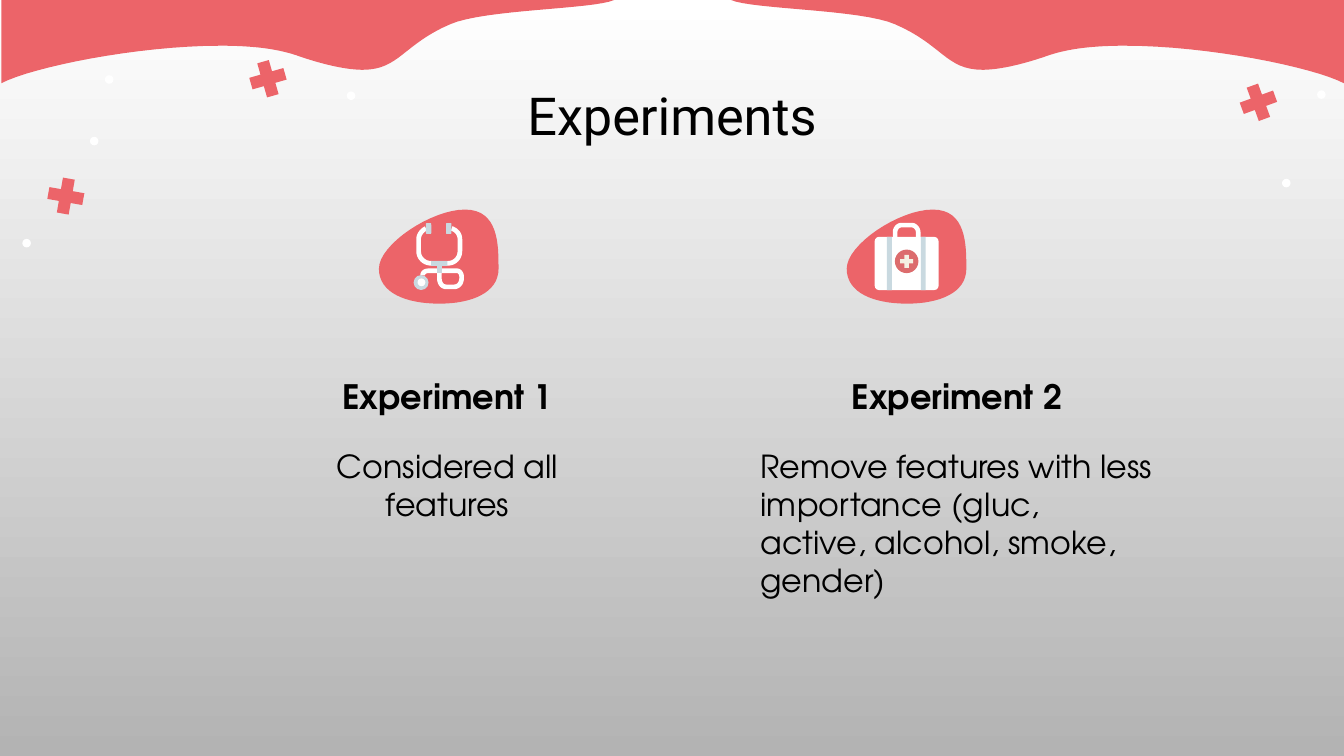
from dataclasses import dataclass
from pptx import Presentation
from pptx.dml.color import RGBColor
from pptx.enum.shapes import MSO_SHAPE
from pptx.enum.text import MSO_ANCHOR, PP_ALIGN
from pptx.util import Pt


@dataclass(frozen=True)
class Theme:
    coral: RGBColor = RGBColor(0xEC, 0x64, 0x69)
    badge: RGBColor = RGBColor(0xDC, 0x6C, 0x6D)
    steel: RGBColor = RGBColor(0xC9, 0xD9, 0xE0)
    cream: RGBColor = RGBColor(0xF5, 0xF1, 0xE3)
    white: RGBColor = RGBColor(0xFF, 0xFF, 0xFF)
    gray: RGBColor = RGBColor(0xB3, 0xB3, 0xB3)
    black: RGBColor = RGBColor(0, 0, 0)
    title_font: str = "Roboto"
    body_font: str = "TeX Gyre Adventor"
    title_size: int = 28
    heading_size: int = 18
    body_size: int = 17
    tube_width: float = 2.5


theme = Theme()
prs = Presentation()
prs.slide_width, prs.slide_height = Pt(720), Pt(405)
slide = prs.slides.add_slide(prs.slide_layouts[6])

backdrop = slide.background.fill
backdrop.gradient()
backdrop.gradient_angle = 270
for stop, color in zip(backdrop.gradient_stops, (theme.white, theme.gray)):
    stop.color.rgb = color


def add_preset(kind, left, top, width, height, color, rotation=0, adjust=None):
    shape = slide.shapes.add_shape(kind, Pt(left), Pt(top), Pt(width), Pt(height))
    shape.shadow.inherit = False
    shape.fill.solid()
    shape.fill.fore_color.rgb = color
    shape.line.fill.background()
    shape.rotation = rotation
    if adjust is not None:
        shape.adjustments[0] = adjust


def add_curve(steps, color, filled=True, left=0, top=0):
    points = [steps[0]]
    for step in steps[1:]:
        if len(step) == 2:
            points.append(step)
            continue
        corners = (points[-1], step[:2], step[2:4], step[4:])
        for i in range(1, 17):
            t = i / 16
            weights = ((1 - t) ** 3, 3 * t * (1 - t) ** 2, 3 * t * t * (1 - t), t ** 3)
            points.append(tuple(sum(w * c[axis] for w, c in zip(weights, corners)) for axis in (0, 1)))
    points = [(Pt(left + x), Pt(top + y)) for x, y in points]
    builder = slide.shapes.build_freeform(*points[0])
    builder.add_line_segments(points[1:], close=filled)
    shape = builder.convert_to_shape()
    shape.shadow.inherit = False
    if filled:
        shape.fill.solid()
        shape.fill.fore_color.rgb = color
        shape.line.fill.background()
    else:
        shape.fill.background()
        shape.line.color.rgb = color
        shape.line.width = Pt(theme.tube_width)


for center_x, center_y, rotation in ((35.3, 105.1, 10), (143.6, 42.2, -16), (674.2, 54.8, -20)):
    add_preset(MSO_SHAPE.CROSS, center_x - 9.5, center_y - 9.5, 19, 19, theme.coral, rotation, 0.33)

for left, top in ((12, 128), (48.2, 73.3), (56.2, 40.3), (185.8, 49), (686.8, 95.8), (705.6, 48.4)):
    add_preset(MSO_SHAPE.OVAL, left, top, 4.6, 4.6, theme.white)

wave = [
    (0.7, 0), (0.7, 44.6), (17.3, 36, 73.4, 24.5, 118.1, 24.5),
    (133.9, 24.5, 147.6, 25.9, 158.4, 29.5), (175, 35.3, 186.5, 37.4, 194.4, 37.4),
    (213.8, 37.4, 216, 23.8, 241.2, 13), (259.2, 5, 318.2, 5, 329, 0),
]
mirrored_wave = [tuple(v if i % 2 else 720.7 - v for i, v in enumerate(step)) for step in wave]
for half in (mirrored_wave, wave):
    add_curve(half, theme.coral)

blob = [
    (46.1, 0), (28.1, 0, 0, 18.7, 0, 31.7), (0, 44.6, 14.4, 50.4, 32.4, 50.4),
    (49.7, 50.4, 64.1, 44.6, 64.1, 31.7), (64.1, 18.7, 64.1, 0, 46.1, 0),
]
for left in (203, 453.6):
    add_curve(blob, theme.coral, left=left, top=112.3)

headset = [
    (25.2, 10.1), (23.1, 11.2, 21.3, 13.3, 21.3, 15.9), (21.3, 22.3),
    (21.3, 25.9, 24.2, 28.8, 28.1, 28.8), (36.8, 28.8),
    (40.7, 28.8, 43.4, 25.9, 43.4, 22.3), (43.4, 15.9),
    (43.4, 13.3, 41.9, 11.2, 39, 10.1),
]
hose = [
    (23.4, 35.3), (23.4, 33.9, 24.5, 32.8, 26.7, 32.8), (41.8, 32.8),
    (43.2, 32.8, 44.3, 34.2, 44.3, 36), (44.3, 36.7),
    (44.3, 39.6, 42.5, 41.4, 40.4, 41.4), (36, 41.4),
    (33.9, 41.4, 32.4, 39.6, 32.4, 36.7), (32.4, 31.7),
]
for tube in (headset, hose):
    add_curve(tube, theme.white, filled=False, left=203, top=112.3)

for left in (228.2, 239):
    add_preset(MSO_SHAPE.ROUNDED_RECTANGLE, left, 119.5, 2.9, 5.8, theme.steel)
add_preset(MSO_SHAPE.RECTANGLE, 231, 139.8, 8.8, 2.7, theme.steel)
add_preset(MSO_SHAPE.RECTANGLE, 234.1, 142.5, 2.7, 3.7, theme.steel)
add_preset(MSO_SHAPE.OVAL, 221.6, 147.4, 8, 8, theme.steel)
add_preset(MSO_SHAPE.OVAL, 223.7, 149.2, 4.2, 4.2, theme.white)

handle = [
    (479.5, 127), (479.5, 124.6), (479.5, 122.4, 481, 120.6, 483.1, 120.6),
    (488.2, 120.6), (490.3, 120.6, 491.9, 122.4, 491.9, 124.6), (491.9, 127),
]
add_curve(handle, theme.white, filled=False)
add_preset(MSO_SHAPE.ROUNDED_RECTANGLE, 468.6, 126.9, 34.2, 28.5, theme.white, adjust=0.08)
for left in (475.2, 493.3):
    add_preset(MSO_SHAPE.RECTANGLE, left, 126.9, 2.6, 28.5, theme.steel)
add_preset(MSO_SHAPE.OVAL, 479.4, 133.7, 12.6, 12.6, theme.badge)
add_preset(MSO_SHAPE.CROSS, 482.2, 136.5, 7, 7, theme.cream, adjust=0.33)

title_lines = [("Experiments", theme.title_size, theme.title_font, False, PP_ALIGN.CENTER)]
first_lines = [
    ("Experiment 1", theme.heading_size, theme.body_font, True, PP_ALIGN.CENTER),
    ("Considered all features", theme.body_size, theme.body_font, False, PP_ALIGN.CENTER),
]
second_lines = [
    ("Experiment 2", theme.heading_size, theme.body_font, True, PP_ALIGN.CENTER),
    ("Remove features with less importance (gluc, active, alcohol, smoke, gender)",
     theme.body_size, theme.body_font, False, PP_ALIGN.LEFT),
]
for left, top, width, height, anchor, lines in (
    (56.2, 42.5, 607.6, 37.4, MSO_ANCHOR.MIDDLE, title_lines),
    (139.7, 194.4, 200.2, 195.1, MSO_ANCHOR.TOP, first_lines),
    (400.3, 194.4, 224.6, 195.1, MSO_ANCHOR.TOP, second_lines),
):
    frame = slide.shapes.add_textbox(Pt(left), Pt(top), Pt(width), Pt(height)).text_frame
    frame.word_wrap = True
    frame.vertical_anchor = anchor
    frame.margin_left = frame.margin_right = frame.margin_top = frame.margin_bottom = Pt(7.2)
    for i, (wording, size, font, bold, alignment) in enumerate(lines):
        paragraph = frame.add_paragraph() if i else frame.paragraphs[0]
        paragraph.text = wording
        paragraph.alignment = alignment
        paragraph.space_before = Pt(16 if i else 0)
        paragraph.font.size = Pt(size)
        paragraph.font.name = font
        paragraph.font.bold = bold
        paragraph.font.color.rgb = theme.black

prs.save("out.pptx")
